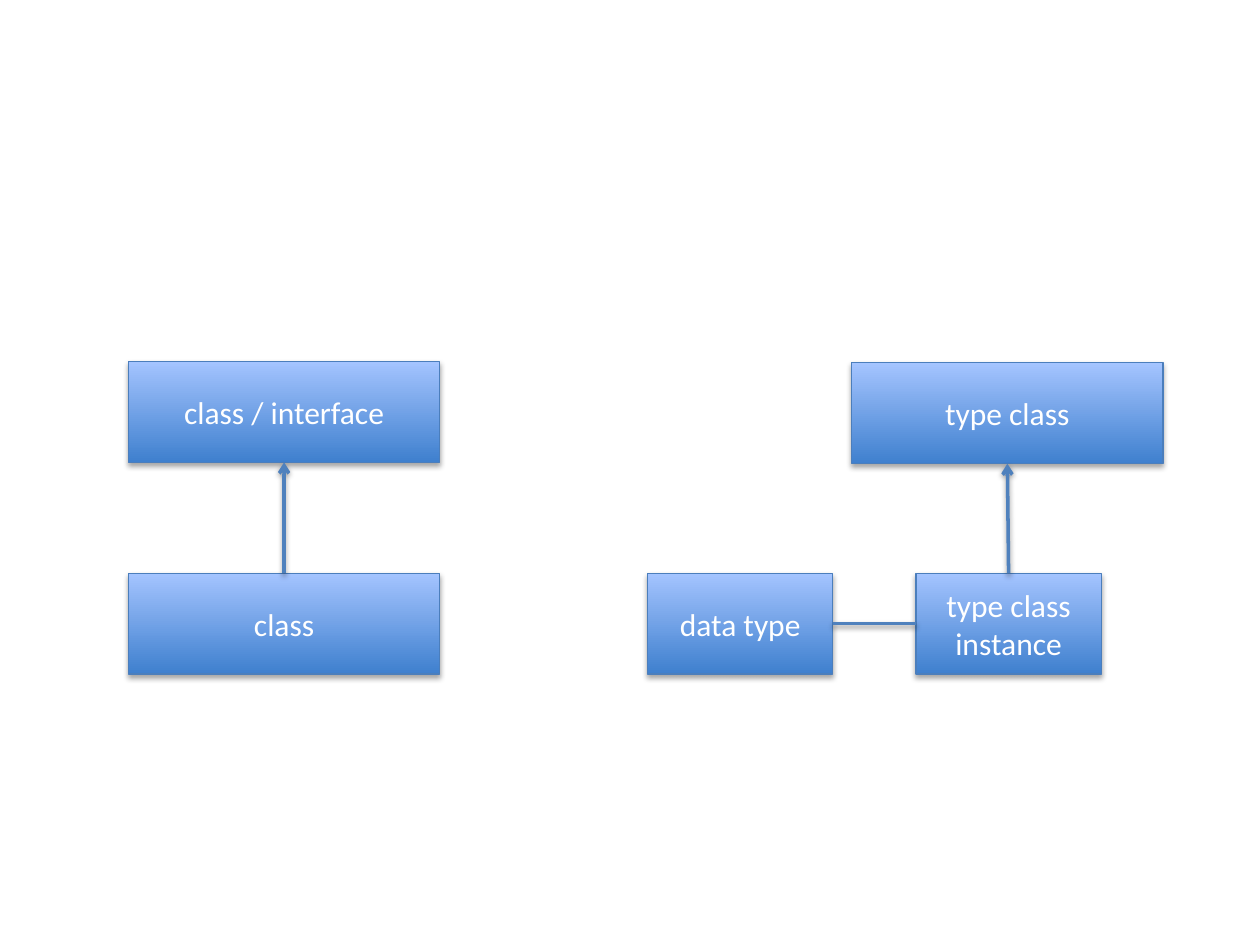
"""Build a slide comparing class inheritance with type class instances."""
import pptx
import pptx.dml.color
import pptx.enum.dml
import pptx.enum.shapes
import pptx.enum.text
import pptx.oxml
import pptx.oxml.ns
import pptx.util
from pptx.util import Inches

TOP, LEFT, BOTTOM, RIGHT = range(4)


def color(value):
    return pptx.dml.color.RGBColor.from_string(value)


class Diagram:
    font = "Calibri"
    text_color = "FFFFFF"
    gradient = ("3F80CE", "A4C4FF")
    border = "4B7EBC"
    link_color = "4F81BD"
    box_height = 0.8

    def __init__(self, slide):
        self.slide = slide

    def add_shadow(self, shape, distance, opacity):
        properties = shape._element.spPr
        for effects in properties.findall(pptx.oxml.ns.qn("a:effectLst")):
            properties.remove(effects)
        properties.append(pptx.oxml.parse_xml(
            f'<a:effectLst {pptx.oxml.ns.nsdecls("a")}>'
            f'<a:outerShdw blurRad="{pptx.util.Pt(3.1)}" dist="{pptx.util.Pt(distance)}" '
            'dir="5400000" rotWithShape="0"><a:srgbClr val="000000">'
            f'<a:alpha val="{opacity * 1000}"/></a:srgbClr></a:outerShdw></a:effectLst>'))

    def add_box(self, text, left, top, width):
        box = self.slide.shapes.add_shape(
            pptx.enum.shapes.MSO_SHAPE.RECTANGLE,
            Inches(left), Inches(top), Inches(width), Inches(self.box_height))
        box.fill.gradient()
        box.fill.gradient_angle = 90
        for stop, value in zip(box.fill.gradient_stops, self.gradient):
            stop.color.rgb = color(value)
        box.line.color.rgb = color(self.border)
        box.line.width = pptx.util.Pt(0.75)
        self.add_shadow(box, 1.8, 35)
        frame = box.text_frame
        frame.text = text
        frame.word_wrap = True
        frame.vertical_anchor = pptx.enum.text.MSO_ANCHOR.MIDDLE
        para = frame.paragraphs[0]
        para.alignment = pptx.enum.text.PP_ALIGN.CENTER
        span = para.runs[0]
        span.font.name = self.font
        span.font.size = pptx.util.Pt(18)
        span.font.color.rgb = color(self.text_color)
        return box

    def add_link(self, start, start_site, end, end_site, arrow=False):
        link = self.slide.shapes.add_connector(
            pptx.enum.shapes.MSO_CONNECTOR.STRAIGHT, 0, 0, 0, 0)
        link.begin_connect(start, start_site)
        link.end_connect(end, end_site)
        link.line.color.rgb = color(self.link_color)
        link.line.width = pptx.util.Pt(2)
        if arrow:
            link.line._get_or_add_ln().append(pptx.oxml.parse_xml(
                f'<a:tailEnd {pptx.oxml.ns.nsdecls("a")} type="arrow"/>'))
        self.add_shadow(link, 1.6, 38)


def main():
    deck = pptx.Presentation()
    deck.slide_width, deck.slide_height = Inches(10), Inches(7.5)
    diagram = Diagram(deck.slides.add_slide(deck.slide_layouts[6]))
    wide, narrow, lower = 2.47, 1.47, 4.55

    parent = diagram.add_box("class / interface", 1.02, 2.87, wide)
    child = diagram.add_box("class", 1.02, lower, wide)
    diagram.add_link(child, TOP, parent, BOTTOM, arrow=True)

    data_type = diagram.add_box("data type", 5.14, lower, narrow)
    type_class = diagram.add_box("type class", 6.76, 2.88, wide)
    instance = diagram.add_box("type class instance", 7.27, lower, narrow)
    diagram.add_link(data_type, RIGHT, instance, LEFT)
    diagram.add_link(instance, TOP, type_class, BOTTOM, arrow=True)

    deck.save("out.pptx")


if __name__ == "__main__":
    main()
